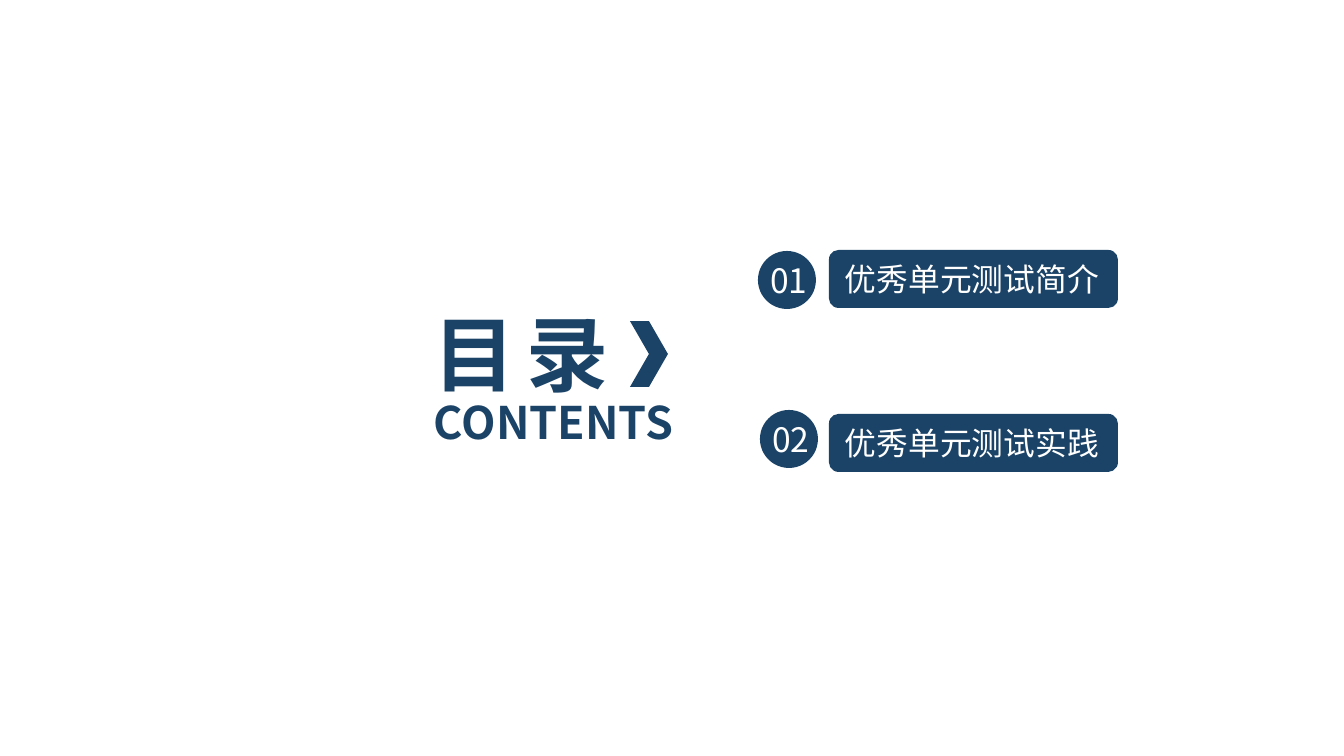
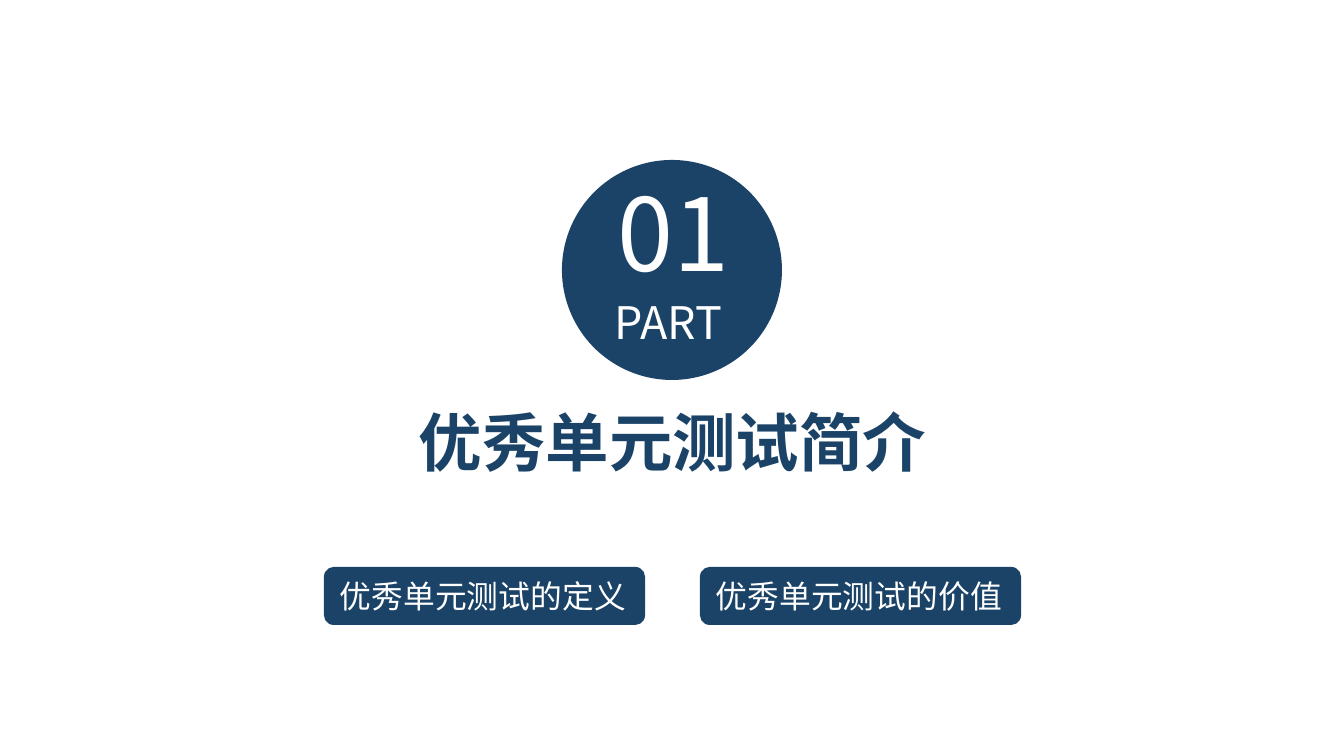
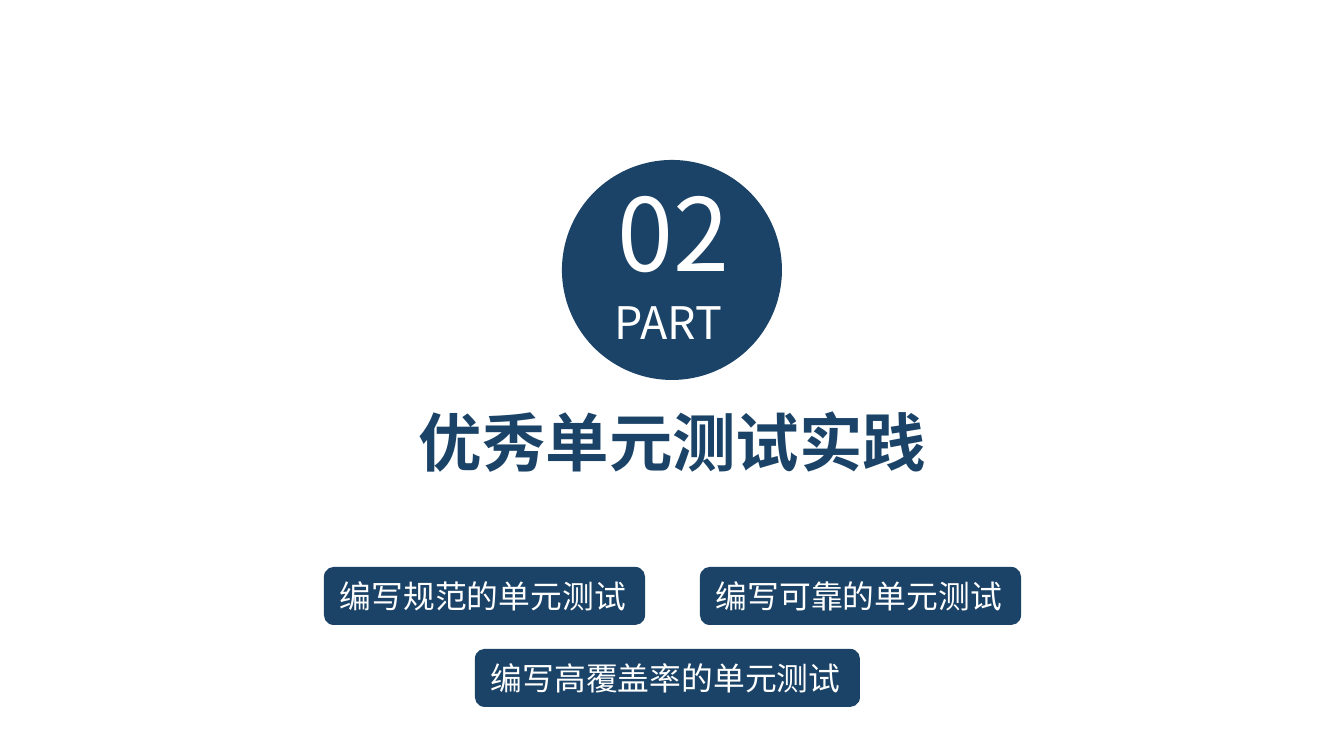
from collections import namedtuple

from lxml import etree
from pptx import Presentation
from pptx.dml.color import RGBColor
from pptx.enum.shapes import MSO_SHAPE
from pptx.enum.text import MSO_ANCHOR, MSO_AUTO_SIZE, PP_ALIGN
from pptx.oxml.ns import qn
from pptx.util import Emu, Pt

Box = namedtuple("Box", "left top width height")

NAVY = RGBColor(0x1B, 0x43, 0x67)
WHITE = RGBColor(0xFF, 0xFF, 0xFF)
FONT = "Noto Sans CJK SC"

ELLIPSE = MSO_SHAPE.OVAL
PILL = MSO_SHAPE.ROUNDED_RECTANGLE
CHEVRON = MSO_SHAPE.CHEVRON
LEFT, CENTER = PP_ALIGN.LEFT, PP_ALIGN.CENTER
TOP, MIDDLE = MSO_ANCHOR.TOP, MSO_ANCHOR.MIDDLE
GROW = MSO_AUTO_SIZE.SHAPE_TO_FIT_TEXT

PAGE = Box(0, 0, 1344, 756)
PILL_HEIGHT = 58
CHARACTER_WIDTH = 32
PILL_PADDING = 33
BADGE_SIZE = 58
TIGHT = (9, 5)
NORMAL = (13, 7)

CHAPTERS = [
    ("01", "优秀单元测试简介", [
        (324, 567, "优秀单元测试的定义"),
        (700, 567, "优秀单元测试的价值"),
    ]),
    ("02", "优秀单元测试实践", [
        (324, 567, "编写规范的单元测试"),
        (700, 567, "编写可靠的单元测试"),
        (475, 649, "编写高覆盖率的单元测试"),
    ]),
]
CONTENTS_ROWS = [((758, 251), (829, 250)), ((760, 410), (829, 414))]


def px(length):
    """Turn a length in px into EMU."""
    return Emu(round(length * 914400 / 134.4))


def place(box):
    """Return the four EMU lengths of a box."""
    return [px(length) for length in box]


def style_paragraph(para, size, color, bold=False, align=LEFT, spacing=None):
    """Set the font and alignment of a whole paragraph."""
    para.alignment = align
    font = para.font
    font.name, font.size, font.bold = FONT, Pt(size), bold
    font.color.rgb = color
    properties = para._p.get_or_add_pPr().find(qn("a:defRPr"))
    etree.SubElement(properties, qn("a:ea"), typeface=FONT)
    if spacing is not None:
        properties.set("spc", str(spacing))


def prepare_frame(shape, insets=NORMAL, anchor=TOP):
    """Make a shape's text wrap and its height follow the text."""
    frame = shape.text_frame
    frame.word_wrap = True
    frame.auto_size = GROW
    frame.vertical_anchor = anchor
    frame.margin_left = frame.margin_right = px(insets[0])
    frame.margin_top = frame.margin_bottom = px(insets[1])
    return frame


def add_solid(shapes, kind, box):
    """Add a plain navy shape."""
    shape = shapes.add_shape(kind, *place(box))
    shape.shadow.inherit = False
    shape.fill.solid()
    shape.fill.fore_color.rgb = NAVY
    shape.line.fill.background()
    return shape


def add_label(shapes, box, text, size, color, insets=NORMAL, **style):
    """Add a text box of one paragraph."""
    frame = prepare_frame(shapes.add_textbox(*place(box)), insets)
    para = frame.paragraphs[0]
    para.text = text
    style_paragraph(para, size, color, **style)


def add_pill(page, left, top, text):
    """Add a rounded label as wide as its text needs."""
    width = CHARACTER_WIDTH * len(text) + PILL_PADDING
    pill = add_solid(page.shapes, PILL, Box(left, top, width, PILL_HEIGHT))
    para = prepare_frame(pill, anchor=MIDDLE).paragraphs[0]
    para.text = text
    style_paragraph(para, 17, WHITE)


def add_badge(page, left, top, number):
    """Add a grouped disc with its chapter number."""
    group = page.shapes.add_group_shape()
    add_solid(group.shapes, ELLIPSE, Box(left, top, BADGE_SIZE, BADGE_SIZE))
    add_label(group.shapes, Box(left - 4, top + 2, 70, 54), number, 18, WHITE,
              align=CENTER)


def add_contents_heading(page, box):
    """Add the bilingual contents heading with its chevron."""
    add_label(page.shapes, Box(box.left, box.top, box.width, 113), "目 录", 44,
              NAVY, bold=True, spacing=-220)
    add_label(page.shapes, Box(box.left, box.top + 92, box.width, 67),
              "CONTENTS", 24, NAVY, bold=True)
    add_solid(page.shapes, CHEVRON, Box(box.left + 209, box.top + 25, 38, 66))


def add_part_disc(page, box, number):
    """Add the large disc with the part number."""
    add_solid(page.shapes, ELLIPSE, box)
    area = Box(box.left - 16, box.top + 71, box.width + 35, 124)
    frame = prepare_frame(page.shapes.add_textbox(*place(area)), TIGHT)
    paras = [frame.paragraphs[0], frame.add_paragraph()]
    for para, text, size in zip(paras, (number, "PART "), (54, 24)):
        para.text = text
        para.line_spacing = Pt(30)
        style_paragraph(para, size, WHITE, align=CENTER)


def build_contents(page):
    """Build the contents slide."""
    add_contents_heading(page, Box(421, 296, 316, 159))
    for (number, title, _), (badge, pill) in zip(CHAPTERS, CONTENTS_ROWS):
        add_pill(page, *pill, title)
        add_badge(page, *badge, number)


def build_chapter(page, number, title, topics):
    """Build a chapter opening slide."""
    add_part_disc(page, Box(562, 160, 220, 220), number)
    add_label(page.shapes, Box(366, 398, 613, 87), title, 34, NAVY, TIGHT,
              bold=True, align=CENTER)
    for topic in topics:
        add_pill(page, *topic)


def main():
    """Build and save the deck."""
    deck = Presentation()
    deck.slide_width, deck.slide_height = px(PAGE.width), px(PAGE.height)
    blank = deck.slide_layouts[6]
    build_contents(deck.slides.add_slide(blank))
    for chapter in CHAPTERS:
        build_chapter(deck.slides.add_slide(blank), *chapter)
    deck.save("out.pptx")


if __name__ == "__main__":
    main()
